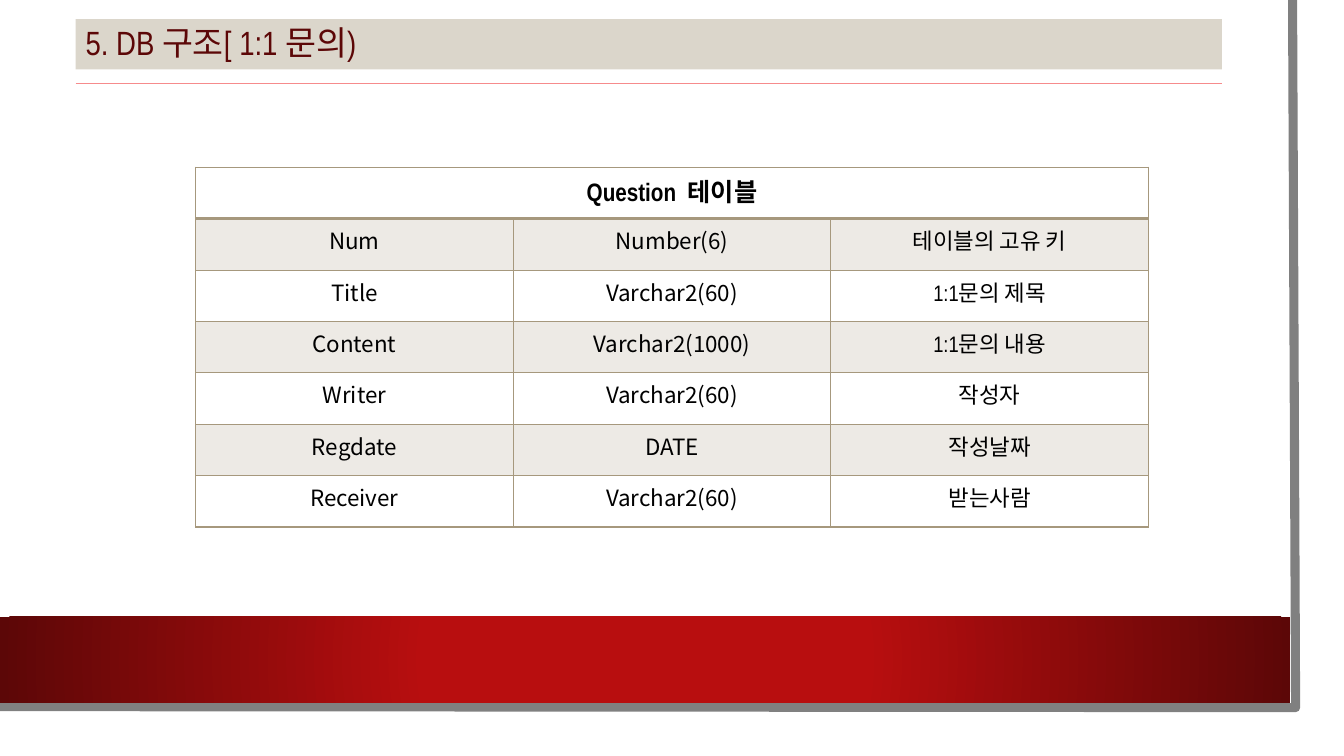
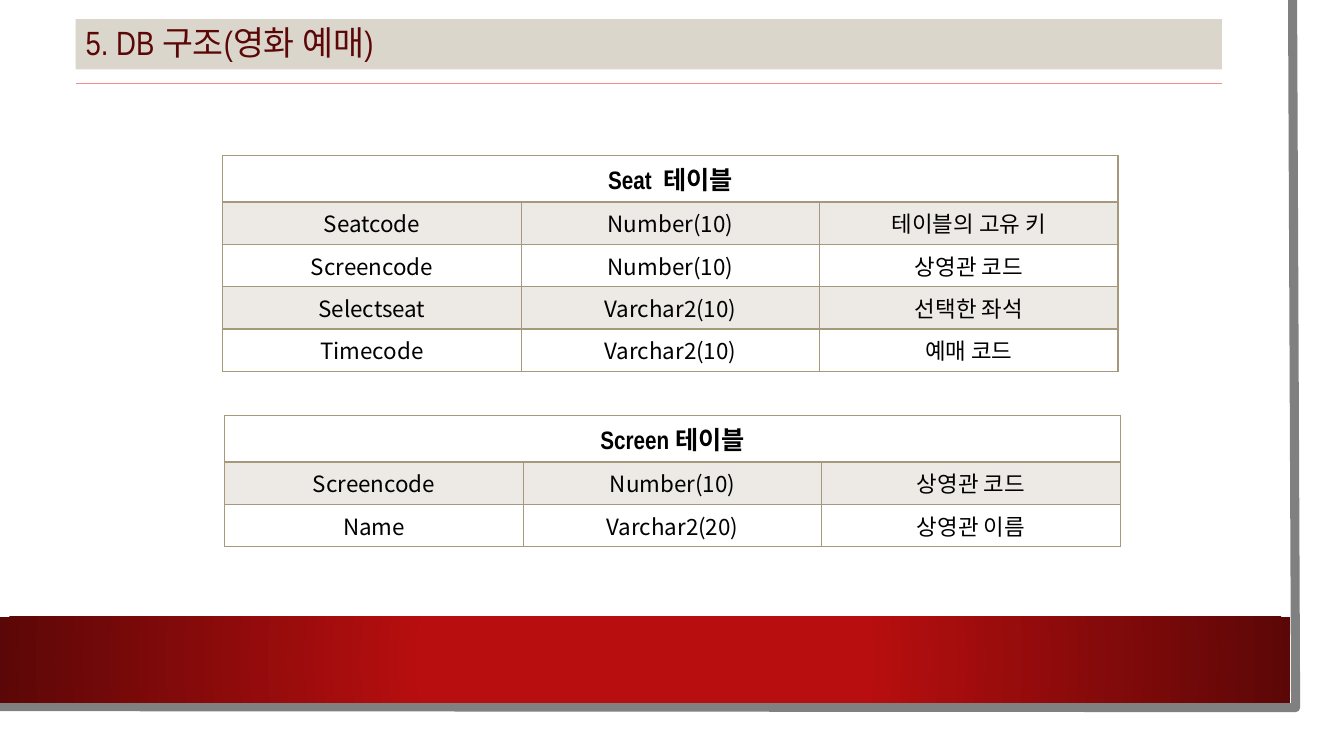
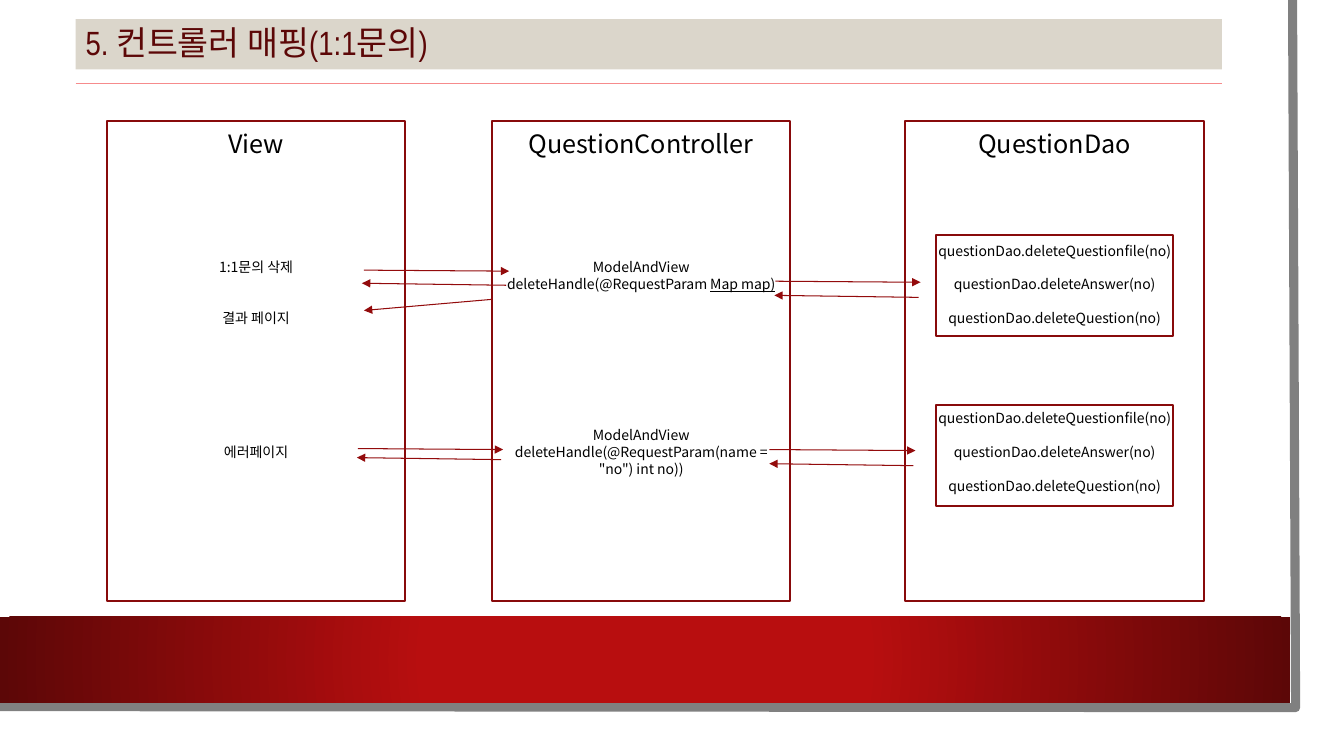
from lxml import etree
from pptx import Presentation
from pptx.dml.color import RGBColor
from pptx.enum.shapes import MSO_CONNECTOR, MSO_SHAPE
from pptx.enum.text import MSO_ANCHOR, PP_ALIGN
from pptx.oxml import parse_xml
from pptx.oxml.ns import qn
from pptx.util import Inches, Pt

RECTANGLE = MSO_SHAPE.RECTANGLE
STRAIGHT = MSO_CONNECTOR.STRAIGHT
CENTER = PP_ALIGN.CENTER
TOP, MIDDLE = MSO_ANCHOR.TOP, MSO_ANCHOR.MIDDLE

NARROW, SANS = "Arial Narrow", "Noto Sans CJK KR"
WHITE, BLACK, GREY = "FFFFFF", "000000", "808080"
BRIGHT_RED, DARK_RED = "B80E0F", "5C0707"
BOX_RED, ARROW_RED, RULE_PINK = "880A0B", "930B0C", "F68B8C"
TITLE_BAND, TABLE_LINE, TABLE_BAND = "DBD6CB", "A6987D", "EDEAE5"
NAMESPACE = 'xmlns:a="http://schemas.openxmlformats.org/drawingml/2006/main"'

BAND_GRADIENT = (
    f'<a:gradFill {NAMESPACE} rotWithShape="1"><a:gsLst>'
    f'<a:gs pos="34000"><a:srgbClr val="{BRIGHT_RED}"/></a:gs>'
    f'<a:gs pos="100000"><a:srgbClr val="{DARK_RED}"/></a:gs></a:gsLst>'
    '<a:path path="circle"><a:fillToRect l="50000" t="50000" r="50000" b="50000"/></a:path>'
    '</a:gradFill>')

# Diagram text: (blank lines above, runs), a run being (text, underlined)
LINE_HEIGHT = 12
DELETE_CALLS = ["questionDao.deleteQuestionfile(no)", "questionDao.deleteAnswer(no)",
                "questionDao.deleteQuestion(no)"]
DAO_LINES = [(gap, [(call, False)])
             for first_gap in (5, 5)
             for gap, call in zip((first_gap, 1, 1), DELETE_CALLS)]
COLUMNS = [
    (1.06, "View", [(6, [("1:1문의 삭제", False)]),
                    (2, [("결과 페이지", False)]),
                    (7, [("에러페이지", False)])]),
    (4.88, "QuestionController", [
        (6, [("ModelAndView deleteHandle(@RequestParam ", False), ("Map map)", True)]),
        (8, [('ModelAndView deleteHandle(@RequestParam(name = "no") int no))', False)])]),
    (8.98, "QuestionDao", DAO_LINES),
]
ARROWS = [
    (3.61, 2.68, 5.05, 2.69), (5.02, 2.83, 3.59, 2.81), (4.88, 2.97, 3.61, 3.08),
    (3.55, 4.45, 4.99, 4.46), (4.97, 4.56, 3.54, 4.54),
    (7.69, 2.79, 9.13, 2.8), (9.11, 2.95, 7.68, 2.93),
    (7.63, 4.46, 9.08, 4.47), (9.06, 4.62, 7.63, 4.6),
]

# Tables: (left, top, column width, row height, heading, rows)
QUESTION_TABLE = (1.94, 1.66, 3.15, 0.51, "Question  테이블", [
    ("Num", "Number(6)", "테이블의 고유 키"),
    ("Title", "Varchar2(60)", "1:1문의 제목"),
    ("Content", "Varchar2(1000)", "1:1문의 내용"),
    ("Writer", "Varchar2(60)", "작성자"),
    ("Regdate", "DATE", "작성날짜"),
    ("Receiver", "Varchar2(60)", "받는사람")])
SEAT_TABLE = (2.21, 1.54, 2.96, 0.41, "Seat  테이블", [
    ("Seatcode", "Number(10)", "테이블의 고유 키"),
    ("Screencode", "Number(10)", "상영관 코드"),
    ("Selectseat", "Varchar2(10)", "선택한 좌석"),
    ("Timecode", "Varchar2(10)", "예매 코드")])
SCREEN_TABLE = (2.23, 4.12, 2.96, 0.41, "Screen 테이블", [
    ("Screencode", "Number(10)", "상영관 코드"),
    ("Name", "Varchar2(20)", "상영관 이름")])

# Slides: (title, tables, columns, tops of the call boxes, arrows)
SLIDES = [
    ("5. DB 구조[ 1:1 문의)", [QUESTION_TABLE], [], [], []),
    ("5. DB 구조(영화 예매)", [SEAT_TABLE, SCREEN_TABLE], [], [], []),
    ("5. 컨트롤러 매핑(1:1문의)", [], COLUMNS, [2.33, 4.02], ARROWS),
]


def add_box(slide, left, top, width, height, fill=None, line=None):
    shape = slide.shapes.add_shape(RECTANGLE, Inches(left), Inches(top),
                                   Inches(width), Inches(height))
    shape.shadow.inherit = False
    if fill:
        shape.fill.solid()
        shape.fill.fore_color.rgb = RGBColor.from_string(fill)
    else:
        shape.fill.background()
    if line:
        shape.line.color.rgb = RGBColor.from_string(line)
        shape.line.width = Pt(1.5)
    else:
        shape.line.fill.background()
    return shape


def add_run(paragraph, text, size, font, color=BLACK, bold=False, underline=False):
    run = paragraph.add_run()
    run.text = text
    run.font.size = Pt(size)
    run.font.name = font
    run.font.bold = bold
    run.font.underline = underline
    run.font.color.rgb = RGBColor.from_string(color)
    east_asian = etree.SubElement(run.font._element, qn("a:ea"))
    east_asian.set("typeface", SANS)


presentation = Presentation()
presentation.slide_width = Inches(13.33)
presentation.slide_height = Inches(7.5)

for title, tables, columns, call_box_tops, arrows in SLIDES:
    slide = presentation.slides.add_slide(presentation.slide_layouts[6])

    # Paper with its grey edge, and the red band
    add_box(slide, 0, 0, 13.1, 7.27, WHITE)
    builder = slide.shapes.build_freeform(Inches(12.82), 0)
    builder.add_line_segments([(Inches(12.85), Inches(7.02)), (Inches(-0.03), Inches(7.01))],
                              close=False)
    edge = builder.convert_to_shape()
    edge.shadow.inherit = False
    edge.fill.background()
    edge.line.color.rgb = RGBColor.from_string(GREY)
    edge.line.width = Pt(6.5)
    band = add_box(slide, 0, 6.12, 12.8, 0.85)
    properties = band._element.spPr
    properties.replace(properties.find(qn("a:noFill")), parse_xml(BAND_GRADIENT))

    # Title
    title_box = add_box(slide, 0.75, 0.19, 11.37, 0.5, TITLE_BAND)
    title_box.text_frame.vertical_anchor = MIDDLE
    paragraph = title_box.text_frame.paragraphs[0]
    paragraph.alignment = PP_ALIGN.LEFT
    paragraph.line_spacing = 0.9
    add_run(paragraph, title, 24, NARROW, DARK_RED)

    # Tables
    for left, top, column_width, row_height, heading, rows in tables:
        row_count = len(rows) + 1
        table = slide.shapes.add_table(
            row_count, 3, Inches(left), Inches(top),
            Inches(column_width * 3), Inches(row_height * row_count)).table
        for column in table.columns:
            column.width = Inches(column_width)
        table.cell(0, 0).merge(table.cell(0, 2))
        for row_index, texts in enumerate([(heading, "", "")] + rows):
            table.rows[row_index].height = Inches(row_height)
            for column_index, text in enumerate(texts):
                cell = table.cell(row_index, column_index)
                if row_index % 2:
                    cell.fill.solid()
                    cell.fill.fore_color.rgb = RGBColor.from_string(TABLE_BAND)
                else:
                    cell.fill.background()
                cell_properties = cell._tc.get_or_add_tcPr()
                for position, side in enumerate("LRTB"):
                    points = 2 if row_index == 0 and side == "B" else 1
                    cell_properties.insert(position, parse_xml(
                        f'<a:ln{side} {NAMESPACE} w="{Pt(points)}"><a:solidFill>'
                        f'<a:srgbClr val="{TABLE_LINE}"/></a:solidFill></a:ln{side}>'))
                if text:
                    paragraph = cell.text_frame.paragraphs[0]
                    paragraph.alignment = CENTER
                    is_heading = row_index == 0
                    font = NARROW if is_heading or column_index == 2 else SANS
                    add_run(paragraph, text, 18 if is_heading else 16, font, bold=is_heading)

    # Diagram columns
    for left, heading, lines in columns:
        frame = add_box(slide, left, 1.2, 2.96, 4.76, line=BOX_RED).text_frame
        frame.word_wrap = True
        frame.vertical_anchor = TOP
        paragraph = frame.paragraphs[0]
        paragraph.alignment = CENTER
        paragraph.line_spacing = Pt(23)
        add_run(paragraph, heading, 18, SANS)
        for blank_lines, runs in lines:
            paragraph = frame.add_paragraph()
            paragraph.alignment = CENTER
            paragraph.line_spacing = Pt(LINE_HEIGHT)
            paragraph.space_before = Pt(blank_lines * LINE_HEIGHT)
            for text, underlined in runs:
                add_run(paragraph, text, 10, SANS, underline=underlined)
    for top in call_box_tops:
        add_box(slide, 9.28, top, 2.35, 1, line=BOX_RED)

    # Rule under the title, and arrows
    for index, points in enumerate([(0.75, 0.83, 12.12, 0.83)] + arrows):
        is_arrow = index > 0
        connector = slide.shapes.add_connector(STRAIGHT, *[Inches(point) for point in points])
        connector.line.color.rgb = RGBColor.from_string(ARROW_RED if is_arrow else RULE_PINK)
        connector.line.width = Pt(0.75)
        if is_arrow:
            tail = etree.SubElement(connector.line._get_or_add_ln(), qn("a:tailEnd"))
            tail.set("type", "triangle")
        etree.SubElement(connector._element.spPr, qn("a:effectLst"))

presentation.save("out.pptx")
